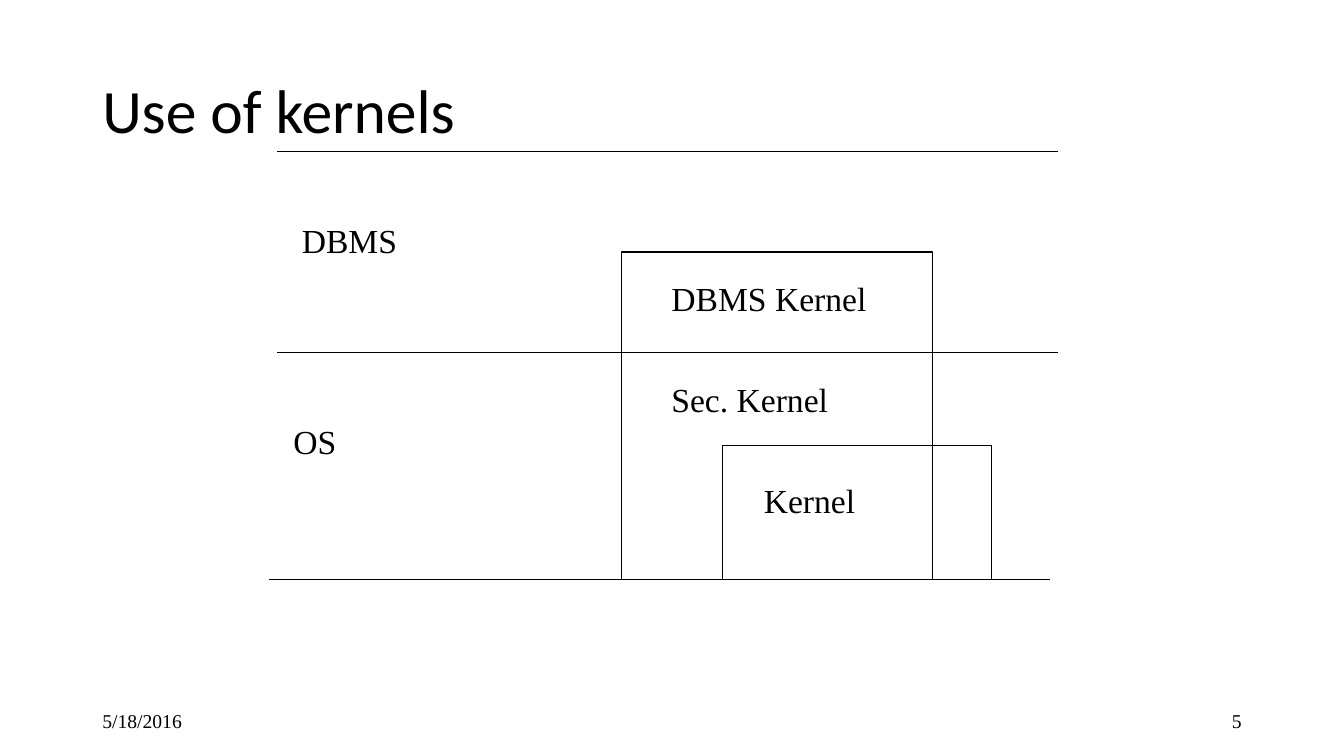
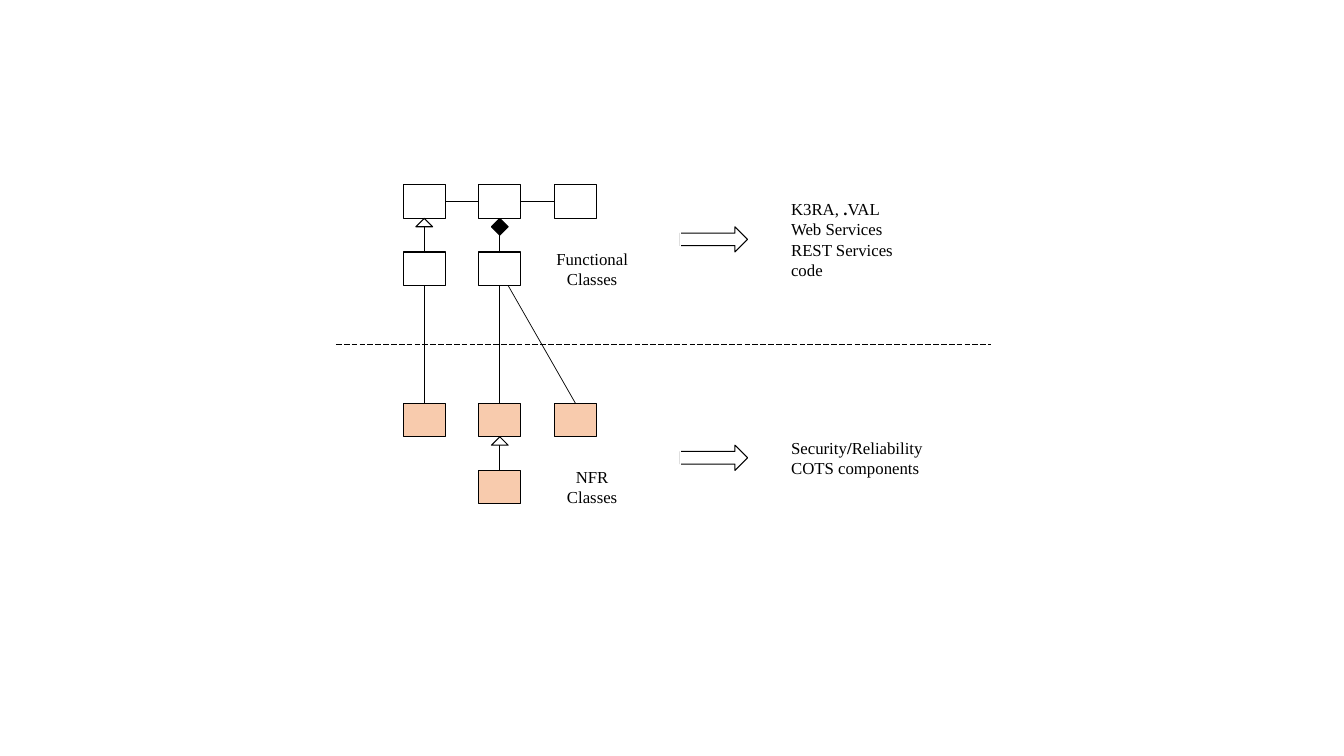
import pptx
import pptx.dml.color
import pptx.enum.dml
import pptx.enum.shapes
import pptx.enum.text
import pptx.oxml
import pptx.oxml.ns
import pptx.util

PX = 9525
BLACK, WHITE, PEACH = "000000", "FFFFFF", "F8CBAD"
SERIF, SANS = "Times New Roman", "Calibri"
SHAPE = pptx.enum.shapes.MSO_SHAPE
ALIGN = pptx.enum.text.PP_ALIGN
ANCHOR = pptx.enum.text.MSO_ANCHOR
TOP, BOTTOM, LEFT, RIGHT = 0, 2, 1, 3
CELL_W, CELL_H, PITCH_X, PITCH_Y = 40, 32, 72, 64


def emu(*lengths):
    """Turn px lengths into EMU."""
    return [n * PX for n in lengths]


def rgb(value):
    """Return the colour for a hex string."""
    return pptx.dml.color.RGBColor.from_string(value)


def add_text(slide, box, lines, size, font=SERIF, align=ALIGN.LEFT,
             anchor=ANCHOR.MIDDLE, spacing=None):
    """Add a text box; in a line given as a tuple every second run is bold."""
    tf = slide.shapes.add_textbox(*emu(*box)).text_frame
    tf.word_wrap = True
    tf.vertical_anchor = anchor
    for i, line in enumerate(lines):
        p = tf.add_paragraph() if i else tf.paragraphs[0]
        p.alignment = align
        p.line_spacing = spacing
        p.font.name = font
        p.font.size = pptx.util.Pt(size)
        p.font.color.rgb = rgb(BLACK)
        for j, text in enumerate((line,) if isinstance(line, str) else line):
            r = p.add_run()
            r.text = text
            if j % 2:
                r.font.bold = True


def add_box(slide, box, fill=None, kind=SHAPE.RECTANGLE):
    """Add an outlined shape, hollow unless a fill is given."""
    sp = slide.shapes.add_shape(kind, *emu(*box))
    sp.shadow.inherit = False
    if fill:
        sp.fill.solid()
        sp.fill.fore_color.rgb = rgb(fill)
    else:
        sp.fill.background()
    sp.line.color.rgb = rgb(BLACK)
    sp.line.width = pptx.util.Pt(0.75)
    return sp


def add_line(slide, ends=(0, 0, 0, 0), color=BLACK, width=0.5, begin=None, end=None):
    """Add a straight line, joined to (shape, site) pairs where given."""
    line = slide.shapes.add_connector(
        pptx.enum.shapes.MSO_CONNECTOR.STRAIGHT, *emu(*ends))
    line.line.color.rgb = rgb(color)
    line.line.width = pptx.util.Pt(width)
    line._element.spPr.append(pptx.oxml.parse_xml(
        "<a:effectLst %s/>" % pptx.oxml.ns.nsdecls("a")))
    if begin:
        line.begin_connect(*begin)
    if end:
        line.end_connect(*end)
    return line


def add_footer(slide, x, y, w, date, number):
    """Place the date and the slide number at both ends of a footer."""
    add_text(slide, (x, y, 288, 38), [date], 14)
    add_text(slide, (x + w - 288, y, 288, 38), [number], 14, align=ALIGN.RIGHT)


def add_kernel_diagram(slide, x, y):
    """Draw the system layers with their nested kernels."""
    for dx, dy in ((8, 0), (8, 192), (0, 408)):
        add_line(slide, (x + dx, y + dy, x + dx + 744, y + dy), width=0.75)
    for dx, dy, w, h in ((336, 96, 296, 312), (432, 280, 256, 128)):
        add_box(slide, (x + dx, y + dy, w, h))
    for dx, dy, label in ((22, 61, "DBMS"), (14, 252, "OS"),
                          (374, 116, "DBMS Kernel"), (374, 212, "Sec. Kernel"),
                          (462, 308, "Kernel")):
        add_text(slide, (x + dx, y + dy, 220, 48), [label], 24, anchor=ANCHOR.TOP)


def add_class_group(slide, x, y, fill, cells, label, result):
    """Draw a grid of classes with its label, arrow and resulting code."""
    boxes = {(col, row): add_box(slide, (x + col * PITCH_X, y + row * PITCH_Y,
                                         CELL_W, CELL_H), fill)
             for col, row in cells}
    add_text(slide, (x + 128, y + 56, 104, 48), label, 12, align=ALIGN.CENTER)
    add_box(slide, (x + 264, y + 40, 64, 24), WHITE, SHAPE.RIGHT_ARROW)
    add_line(slide, (x + 264, y + 40, x + 264, y + 64), WHITE)
    add_text(slide, (x + 360, y + 8, 152, 88), result, 12)
    return boxes


def add_relation(slide, lower, upper, kind, height, fill):
    """Join a class to the one above it, with a UML symbol at the upper end."""
    add_line(slide, begin=(lower, TOP), end=(upper, BOTTOM))
    x = (upper.left + upper.width // 2) // PX
    y = (upper.top + upper.height) // PX
    add_box(slide, (x - 8, y, 16, height), fill, kind)


def kernels_slide(slide):
    """Build the slide on the use of kernels."""
    add_footer(slide, 88, 667, 1104, "5/18/2016", "5")
    add_text(slide, (88, 39, 1104, 139), ["Use of kernels"], 44, SANS, spacing=0.9)
    add_kernel_diagram(slide, 256, 144)


def classes_slide(slide):
    """Build the slide on functional and NFR classes."""
    x, y = 384, 176
    functional = add_class_group(
        slide, x, y, WHITE, ((0, 0), (1, 0), (2, 0), (0, 1), (1, 1)),
        ["Functional", "Classes"],
        [("K3RA, ", ".", "VAL"), "Web Services", "REST Services", "code"])
    nfr = add_class_group(
        slide, x, y + 208, PEACH, ((0, 0), (1, 0), (2, 0), (1, 1)),
        ["NFR", "Classes"],
        [("Security", "/", "Reliability"), "COTS components"])
    for col in (0, 1):
        add_line(slide, begin=(functional[col, 0], RIGHT),
                 end=(functional[col + 1, 0], LEFT))
        add_line(slide, begin=(functional[col, 1], BOTTOM), end=(nfr[col, 0], TOP))
    add_line(slide, (x + 100, y + 96, x + 164, y + 208), end=(nfr[2, 0], TOP))
    add_relation(slide, functional[0, 1], functional[0, 0],
                 SHAPE.ISOSCELES_TRIANGLE, 8, WHITE)
    add_relation(slide, functional[1, 1], functional[1, 0],
                 SHAPE.FLOWCHART_DECISION, 16, BLACK)
    add_relation(slide, nfr[1, 1], nfr[1, 0], SHAPE.ISOSCELES_TRIANGLE, 8, WHITE)
    divider = add_line(slide, (x - 64, y + 152, x + 560, y + 152))
    divider.line.dash_style = pptx.enum.dml.MSO_LINE.LONG_DASH


def main():
    """Build and save the presentation."""
    prs = pptx.Presentation()
    prs.slide_width, prs.slide_height = emu(1280, 720)
    for build in (kernels_slide, classes_slide):
        build(prs.slides.add_slide(prs.slide_layouts[6]))
    prs.save("out.pptx")


if __name__ == "__main__":
    main()
